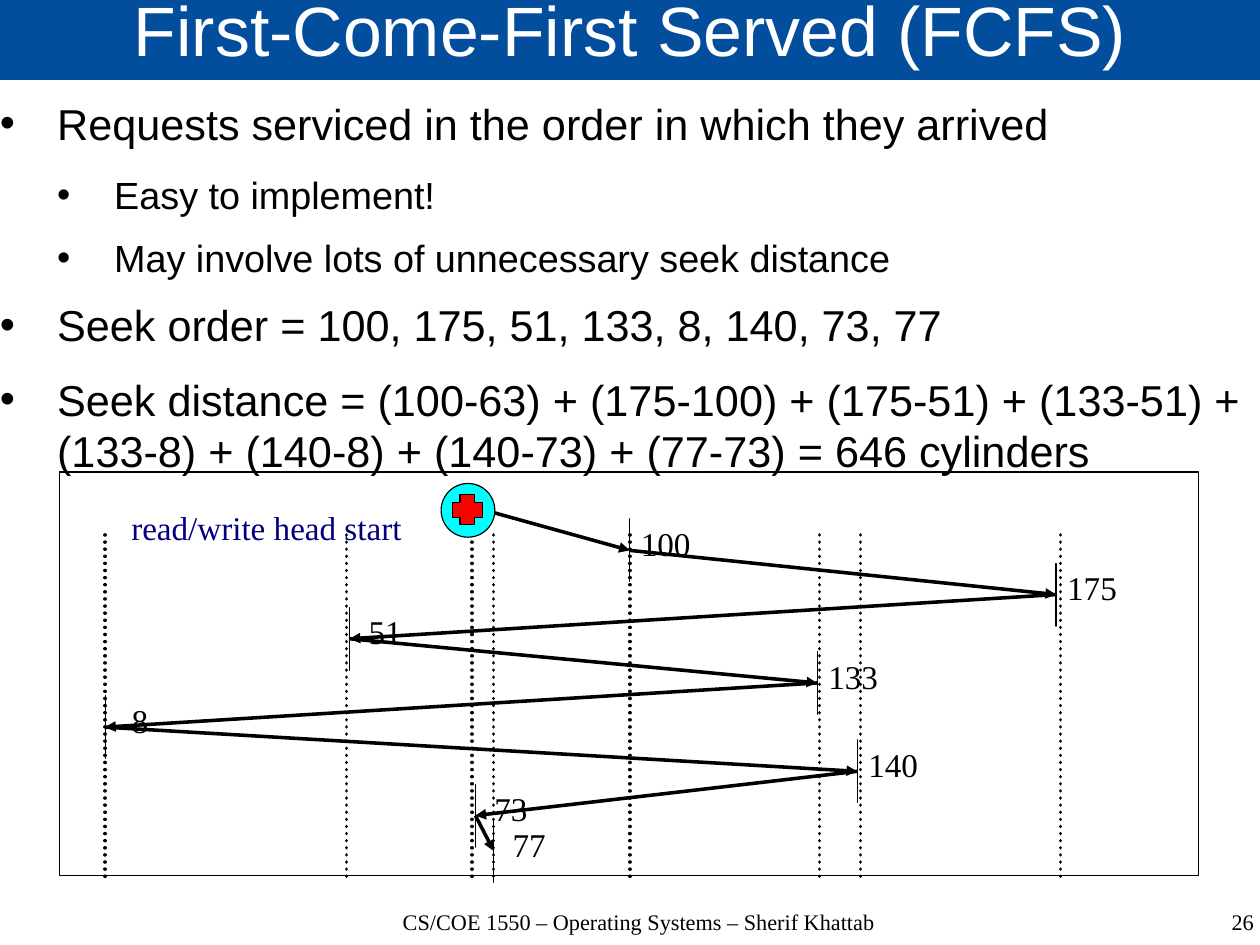
from pptx import Presentation
from pptx.dml.color import RGBColor
from pptx.enum.dml import MSO_LINE
from pptx.enum.shapes import MSO_CONNECTOR, MSO_SHAPE
from pptx.enum.text import MSO_ANCHOR, PP_ALIGN
from pptx.oxml.ns import qn
from pptx.util import Emu, Inches, Pt
from lxml import etree

RECT, OVAL, CROSS = MSO_SHAPE.RECTANGLE, MSO_SHAPE.OVAL, MSO_SHAPE.CROSS
LEFT, CENTER, RIGHT = PP_ALIGN.LEFT, PP_ALIGN.CENTER, PP_ALIGN.RIGHT
STRAIGHT, DOTTED = MSO_CONNECTOR.STRAIGHT, MSO_LINE.ROUND_DOT
ARIAL, TIMES = "Arial", "Times New Roman"
COLORS = {name: RGBColor.from_string(value) for name, value in {
    "black": "000000", "white": "FFFFFF", "title": "024E9D", "navy": "000080",
    "tick": "00CC99", "disk": "00FFFF", "head": "FF0000"}.items()}

prs = Presentation()
prs.slide_width, prs.slide_height = Emu(10080625), Emu(7559675)
s = prs.slides.add_slide(prs.slide_layouts[6])


def add_box(box, kind=None, fill=None, line=None):
    x, y, w, h = (Inches(v) for v in box)
    if kind is None:
        sp = s.shapes.add_textbox(x, y, w, h)
    else:
        sp = s.shapes.add_shape(kind, x, y, w, h)
        sp.shadow.inherit = False
        if fill:
            sp.fill.solid()
            sp.fill.fore_color.rgb = COLORS[fill]
        else:
            sp.fill.background()
        if line:
            sp.line.color.rgb = COLORS[line]
            sp.line.width = Pt(0.75)
        else:
            sp.line.fill.background()
    tf = sp.text_frame
    tf.margin_left = tf.margin_right = tf.margin_top = tf.margin_bottom = 0
    return sp


def write(p, text, size, font, color="black", **layout):
    p.text = text
    for name, value in layout.items():
        setattr(p, name, value)
    for r in p.runs:
        for name, value in {"size": Pt(size), "name": font}.items():
            setattr(r.font, name, value)
        r.font.color.rgb = COLORS[color]


title = add_box((0, -0.02, 11.04, 0.72), RECT, "title")
title.text_frame.word_wrap = True
title.text_frame.vertical_anchor = MSO_ANCHOR.MIDDLE
write(title.text_frame.paragraphs[0], "First-Come-First Served (FCFS)", 44, ARIAL, "white",
      alignment=CENTER, line_spacing=0.69)

points = [
    (0, "Requests serviced in the order in which they arrived"),
    (1, "Easy to implement!"),
    (1, "May involve lots of unnecessary seek distance"),
    (0, "Seek order = 100, 175, 51, 133, 8, 140, 73, 77"),
    (0, "Seek distance = (100-63) + (175-100) + (175-51) + (133-51) +\v"
        "(133-8) + (140-8) + (140-73) + (77-73) = 646 cylinders"),
]
tf = add_box((0, 0.85, 11.04, 2.84)).text_frame
tf.word_wrap = True
for i, (level, text) in enumerate(points):
    p = tf.add_paragraph() if i else tf.paragraphs[0]
    pPr = p._p.get_or_add_pPr()
    pPr.set("marL", str(Inches(0.5 + 0.5 * level)))
    pPr.set("indent", str(Inches(-0.5)))
    etree.SubElement(pPr, qn("a:buFont")).set("typeface", ARIAL)
    etree.SubElement(pPr, qn("a:buChar")).set("char", "•")
    write(p, text, (27.2, 23.8)[level], ARIAL, level=level,
          space_after=Pt((14.2, 11.4)[level]))

for box, text, align in [
    ((3.07, 7.96, 5.04, 0.55), "CS/COE 1550 – Operating Systems – Sherif Khattab", CENTER),
    ((8.44, 7.96, 2.53, 0.55), "26", RIGHT),
]:
    tf = add_box(box).text_frame
    tf.word_wrap = True
    write(tf.paragraphs[0], text, 14, TIMES, alignment=align, line_spacing=0.96)

lines = []
for x in (0.92, 3.03, 4.13, 4.32, 5.51, 7.17, 7.53, 9.28):
    guide = s.shapes.add_connector(STRAIGHT, Inches(x), Inches(4.68), Inches(x), Inches(7.72))
    guide.line.dash_style = DOTTED
    guide.line._get_or_add_ln().set("cap", "rnd")
    lines.append(guide)

add_box((0.52, 4.13, 9.97, 3.53), RECT, line="black")

requests = [(100, 5.51), (175, 9.24), (51, 3.06), (133, 7.15),
            (8, 0.92), (140, 7.5), (73, 4.16), (77, 4.32)]
tops = [4.54 + 2.32 * i / 6 for i in range(7)] + [7.17]
ticks = []
for (cylinder, x), top in zip(requests, tops):
    ticks.append(add_box((x, top, 0, 0.55), RECT, "tick", "black"))
    digits = len(str(cylinder))
    tf = add_box((x + 0.3 - 0.07 * digits, top - 0.01, 0.15 * digits, 0.46)).text_frame
    tf.margin_top = tf.margin_bottom = Inches(0.05)
    tf.word_wrap = False
    write(tf.paragraphs[0], str(cylinder), 20.9, TIMES, alignment=CENTER)

tf = add_box((1.05, 4.39, 2.61, 0.46)).text_frame
tf.margin_left = tf.margin_right = Inches(0.1)
tf.margin_top = tf.margin_bottom = Inches(0.05)
tf.word_wrap = False
write(tf.paragraphs[0], "read/write head start", 20.9, TIMES, "navy", alignment=LEFT)

for previous, tick in zip([None] + ticks, ticks):
    seek = s.shapes.add_connector(STRAIGHT, Inches(4.23), Inches(4.46), tick.left, tick.top)
    if previous:
        seek.begin_connect(previous, 3)
    seek.end_connect(tick, 1)
    etree.SubElement(seek.line._get_or_add_ln(), qn("a:tailEnd")).set("type", "triangle")
    lines.append(seek)

for line in lines:
    line.line.color.rgb = COLORS["black"]
    line.line.width = Pt(2.25)
    etree.SubElement(line._element.spPr, qn("a:effectLst"))

add_box((3.86, 4.23, 0.47, 0.47), OVAL, "disk", "black")
head = add_box((3.96, 4.33, 0.26, 0.26), CROSS, "head", "black")
head.adjustments[0] = 0.25

prs.save("out.pptx")
